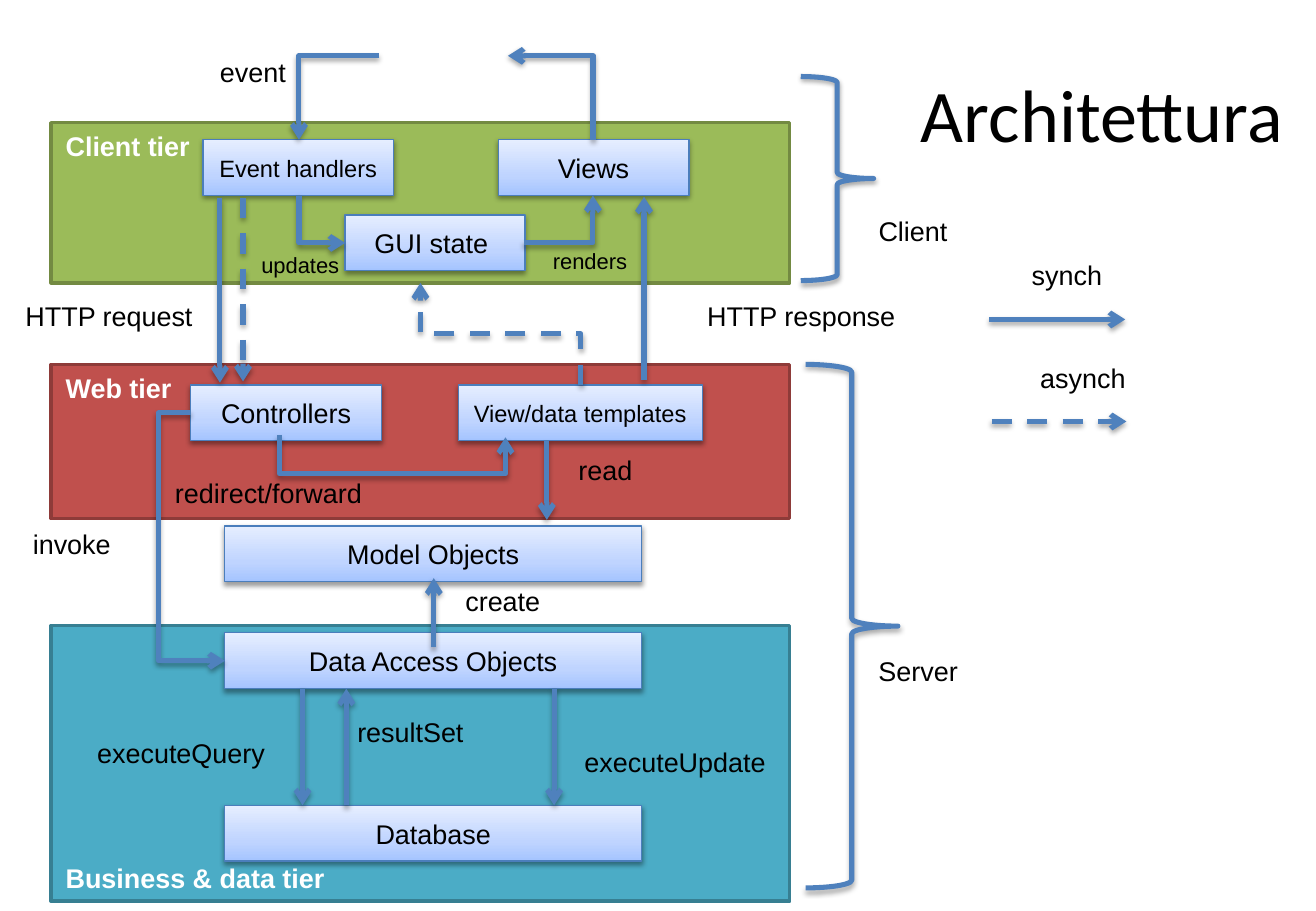
from lxml.etree import SubElement
from pptx import Presentation
from pptx.dml.color import RGBColor
from pptx.enum.dml import MSO_LINE
from pptx.enum.shapes import MSO_CONNECTOR as LINK, MSO_SHAPE as SHAPE
from pptx.enum.text import MSO_ANCHOR as ANCHOR, MSO_AUTO_SIZE as FIT, PP_ALIGN as ALIGN
from pptx.oxml.ns import qn
from pptx.util import Inches, Pt

BLACK = RGBColor(0x00, 0x00, 0x00)
WHITE = RGBColor(0xFF, 0xFF, 0xFF)
GREEN = RGBColor(0x9B, 0xBB, 0x59)
GREEN_EDGE = RGBColor(0x73, 0x8A, 0x42)
RED = RGBColor(0xC0, 0x50, 0x4D)
RED_EDGE = RGBColor(0x8E, 0x3B, 0x39)
TEAL = RGBColor(0x4B, 0xAC, 0xC6)
TEAL_EDGE = RGBColor(0x37, 0x7F, 0x92)
BLUE = RGBColor(0x4F, 0x81, 0xBD)
BOX_EDGE = RGBColor(0x4B, 0x7E, 0xBC)
BOX_STOPS = [
    (0, RGBColor(0xA4, 0xC4, 0xFF)),
    (35, RGBColor(0xBF, 0xD4, 0xFF)),
    (100, RGBColor(0xE6, 0xEE, 0xFF)),
]


def write(shape, text, size, color=BLACK, bold=False, align=ALIGN.LEFT,
          anchor=ANCHOR.TOP, wrap=True, font="Arial"):
    frame = shape.text_frame
    frame.word_wrap = wrap
    frame.vertical_anchor = anchor
    frame.margin_left = frame.margin_right = Inches(0.12)
    frame.margin_top = frame.margin_bottom = Inches(0.06)
    para = frame.paragraphs[0]
    para.alignment = align
    span = para.add_run()
    span.text = text
    span.font.name = font
    span.font.size = Pt(size)
    span.font.bold = bold
    span.font.color.rgb = color


def add_shadow(shape, opacity, distance):
    properties = shape._element.spPr
    effects = properties.find(qn("a:effectLst"))
    if effects is None:
        effects = SubElement(properties, qn("a:effectLst"))
    shadow = SubElement(effects, qn("a:outerShdw"), blurRad=str(Pt(3.1)),
                        dist=str(Pt(distance)), dir="5400000", rotWithShape="0")
    tint = SubElement(shadow, qn("a:srgbClr"), val=str(BLACK))
    SubElement(tint, qn("a:alpha"), val=str(opacity * 1000))


deck = Presentation()
deck.slide_width = Inches(10.83)
deck.slide_height = Inches(7.5)
page = deck.slides.add_slide(deck.slide_layouts[6])
shapes = page.shapes

tiers = [
    ("Client tier", 1.01, 1.32, GREEN, GREEN_EDGE, ANCHOR.TOP),
    ("Web tier", 3, 1.27, RED, RED_EDGE, ANCHOR.TOP),
    ("Business & data tier", 5.15, 2.27, TEAL, TEAL_EDGE, ANCHOR.BOTTOM),
]
for name, top, height, fill, edge, anchor in tiers:
    tier = shapes.add_shape(SHAPE.RECTANGLE, Inches(0.42), Inches(top),
                            Inches(6.08), Inches(height))
    tier.shadow.inherit = False
    tier.fill.solid()
    tier.fill.fore_color.rgb = fill
    tier.line.color.rgb = edge
    tier.line.width = Pt(2)
    write(tier, name, 16, WHITE, bold=True, anchor=anchor)

title = shapes.add_textbox(Inches(7.1), Inches(0.3), Inches(3.58), Inches(1.25))
write(title, "Architettura", 44, align=ALIGN.RIGHT, anchor=ANCHOR.MIDDLE, font="Calibri")

boxes = [
    ("Event handlers", 1.67, 1.15, 1.57, 14),
    ("Views", 4.1, 1.15, 1.57, 16),
    ("GUI state ", 2.84, 1.77, 1.48, 16),
    ("Controllers", 1.57, 3.17, 1.57, 16),
    ("View/data templates", 3.77, 3.17, 2.01, 14),
    ("Model Objects", 1.85, 4.33, 3.43, 16),
    ("Data Access Objects", 1.85, 5.21, 3.43, 16),
    ("Database", 1.85, 6.63, 3.43, 16),
]
for name, left, top, width, size in boxes:
    box = shapes.add_shape(SHAPE.RECTANGLE, Inches(left), Inches(top),
                           Inches(width), Inches(0.46))
    box.shadow.inherit = False
    box.fill.gradient()
    box.fill.gradient_angle = 90
    gradient = box._element.spPr.find(qn("a:gradFill"))
    stop_list = gradient.find(qn("a:gsLst"))
    for stop in list(stop_list):
        stop_list.remove(stop)
    for position, color in BOX_STOPS:
        stop = SubElement(stop_list, qn("a:gs"), pos=str(position * 1000))
        SubElement(stop, qn("a:srgbClr"), val=str(color))
    box.line.color.rgb = BOX_EDGE
    box.line.width = Pt(0.75)
    add_shadow(box, 38, 1.6)
    write(box, name, size, align=ALIGN.CENTER, anchor=ANCHOR.MIDDLE)

SOLID, DASH = MSO_LINE.SOLID, MSO_LINE.DASH
arrows = [
    (2.49, 5.67, 2.49, 6.63, SOLID),
    (4.56, 5.67, 4.56, 6.63, SOLID),
    (2.85, 6.63, 2.85, 5.67, SOLID),
    (4.5, 3.63, 4.5, 4.28, SOLID),
    (3.57, 5.33, 3.57, 4.76, SOLID),
    (1.81, 1.63, 1.81, 3.15, SOLID),
    (2, 1.63, 2, 3.14, DASH),
    (5.3, 3.13, 5.3, 1.62, SOLID),
    (8.14, 2.63, 9.26, 2.63, SOLID),
    (8.16, 3.47, 9.27, 3.47, DASH),
]
links = []
for x1, y1, x2, y2, dash in arrows:
    arrow = shapes.add_connector(LINK.STRAIGHT, Inches(x1), Inches(y1),
                                 Inches(x2), Inches(y2))
    links.append((arrow, dash))

elbows = [
    (1.57, 3.4, 1.85, 5.44, 180, "HV", -0.95, SOLID),
    (2.3, 3.58, 4.16, 3.6, 270, "H", 16, SOLID),
    (3.12, 0.46, 2.46, 1.15, 180, "V", None, SOLID),
    (4.88, 1.15, 4.18, 0.46, 270, "V", None, SOLID),
    (2.46, 1.61, 2.84, 2, 270, "H", None, SOLID),
    (4.31, 2, 4.88, 1.61, 0, "V", None, SOLID),
    (4.78, 3.17, 3.46, 2.33, 270, "V", 0.5, DASH),
]
for x1, y1, x2, y2, turn, flips, bend, dash in elbows:
    width, height = abs(x2 - x1), abs(y2 - y1)
    if turn == 270:
        width, height = height, width
    left, top = (x1 + x2 - width) / 2, (y1 + y2 - height) / 2
    elbow = shapes.add_connector(LINK.ELBOW, Inches(left), Inches(top),
                                 Inches(left + width), Inches(top + height))
    frame = elbow._element.spPr.find(qn("a:xfrm"))
    frame.set("rot", str(turn * 60000))
    for flip in flips:
        frame.set("flip" + flip, "1")
    geometry = elbow._element.spPr.find(qn("a:prstGeom"))
    if bend is None:
        geometry.set("prst", "bentConnector2")
    else:
        guides = geometry.find(qn("a:avLst"))
        SubElement(guides, qn("a:gd"), name="adj1", fmla=f"val {round(bend * 100000)}")
    links.append((elbow, dash))

for link, dash in links:
    link.line.color.rgb = BLUE
    link.line.width = Pt(3)
    link.line.dash_style = dash
    SubElement(link._element.spPr.find(qn("a:ln")), qn("a:tailEnd"), type="arrow")
    add_shadow(link, 35, 1.8)

for left, top, width, height in [(6.59, 0.63, 0.6, 1.68), (6.63, 3, 0.76, 4.31)]:
    brace = shapes.add_shape(SHAPE.RIGHT_BRACE, Inches(left), Inches(top),
                             Inches(width), Inches(height))
    brace.shadow.inherit = False
    brace.fill.background()
    brace.line.color.rgb = BLUE
    brace.line.width = Pt(3)
    add_shadow(brace, 35, 1.8)

labels = [
    ("event", 1.69, 0.4, 0.79, 16),
    ("updates", 2.03, 2.01, 0.89, 13),
    ("renders", 4.43, 1.98, 0.86, 13),
    ("HTTP request", 0.09, 2.41, 1.63, 16),
    ("HTTP response", 5.7, 2.41, 1.81, 16),
    ("read", 4.64, 3.67, 0.69, 16),
    ("redirect/forward", 1.32, 3.86, 1.8, 16),
    ("invoke", 0.15, 4.28, 0.95, 16),
    ("create", 3.71, 4.75, 0.86, 16),
    ("resultSet", 2.82, 5.83, 1.12, 16),
    ("executeQuery", 0.68, 6, 1.63, 16),
    ("executeUpdate", 4.69, 6.08, 1.74, 16),
    ("Client", 7.11, 1.71, 0.81, 16),
    ("Server", 7.11, 5.33, 0.9, 16),
    ("synch", 8.37, 2.07, 0.82, 16),
    ("asynch", 8.44, 2.92, 0.95, 16),
]
for text, left, top, width, size in labels:
    height = 0.39 if size == 16 else 0.34
    label = shapes.add_textbox(Inches(left), Inches(top), Inches(width), Inches(height))
    write(label, text, size, wrap=False)
    label.text_frame.auto_size = FIT.SHAPE_TO_FIT_TEXT

deck.save("out.pptx")
